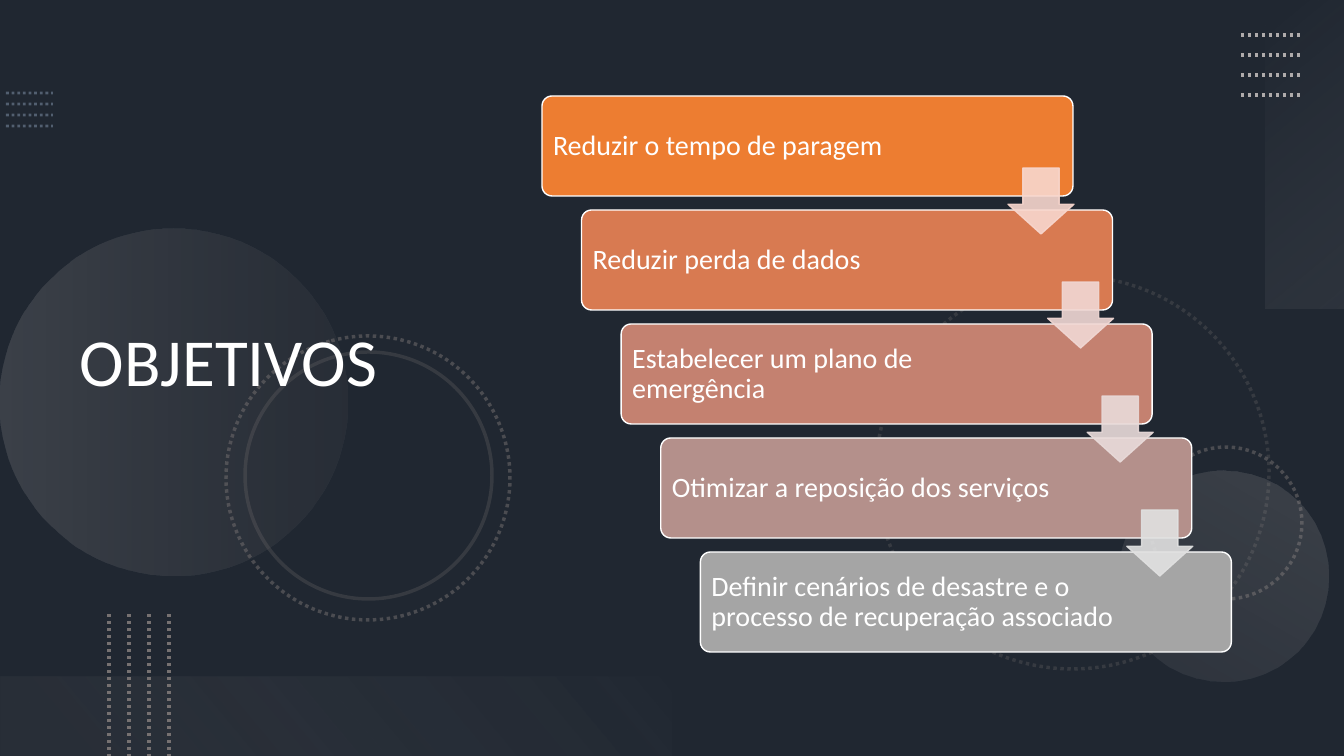
from dataclasses import dataclass

import lxml.etree
import pptx
import pptx.dml.color
import pptx.enum.dml
import pptx.enum.shapes
import pptx.enum.text
import pptx.oxml.ns
import pptx.util

PX = 914400 / 100.8
SHAPE = pptx.enum.shapes.MSO_SHAPE
qn = pptx.oxml.ns.qn


@dataclass(frozen=True)
class Theme:
    """Colours, font and type sizes of the slide."""
    background: str = "44546A"
    shade: str = "000000"
    white: str = "FFFFFF"
    blue: str = "8497B0"
    grey: str = "767171"
    silver: str = "AFABAB"
    pale: str = "F5F5F5"
    font: str = "Calibri"
    title: int = 48
    body: int = 20


THEME = Theme()

STEPS = [
    ("Reduzir o tempo de paragem", "ED7D31"),
    ("Reduzir perda de dados", "D87A51"),
    ("Estabelecer um plano de emergência", "C48170"),
    ("Otimizar a reposição dos serviços", "B4908B"),
    ("Definir cenários de desastre e o processo de recuperação associado", "A5A5A5"),
]
ARROW_COLORS = ["F8D7CE", "F1D8D4", "E9DBDA", "E1E1E1"]


def px(value):
    """Turn pixels into EMU."""
    return pptx.util.Emu(round(value * PX))


def rgb(color):
    """Turn a hex string into a colour."""
    return pptx.dml.color.RGBColor.from_string(color)


def set_alpha(sp, percent):
    """Make every colour of a shape partly transparent."""
    for clr in sp._element.spPr.iter(qn("a:srgbClr")):
        lxml.etree.SubElement(clr, qn("a:alpha"), val=str(percent * 1000))


def set_line(sp, color, width, dotted=False):
    """Style an outline or a connector."""
    sp.line.color.rgb = rgb(color)
    sp.line.width = pptx.util.Pt(width)
    if dotted:
        sp.line.dash_style = pptx.enum.dml.MSO_LINE.ROUND_DOT


def add_shape(s, kind, box, fill=None, line=None, alpha=100, rotation=0, dotted=False):
    """Add a preset shape; line is a (colour, width) pair."""
    sp = s.shapes.add_shape(kind, *map(px, box))
    sp.shadow.inherit = False
    sp.rotation = rotation
    if fill:
        sp.fill.solid()
        sp.fill.fore_color.rgb = rgb(fill)
    else:
        sp.fill.background()
    if line:
        set_line(sp, *line, dotted=dotted)
    else:
        sp.line.fill.background()
    if alpha < 100:
        set_alpha(sp, alpha)
    return sp


def add_gradient(s, kind, box, rotation, angle, stops):
    """Add a shape with a gradient of (position, colour, alpha) stops."""
    sp = add_shape(s, kind, box, rotation=rotation)
    grad = lxml.etree.Element(qn("a:gradFill"), rotWithShape="1")
    stop_list = lxml.etree.SubElement(grad, qn("a:gsLst"))
    for position, color, alpha in stops:
        stop = lxml.etree.SubElement(stop_list, qn("a:gs"), pos=str(position * 1000))
        clr = lxml.etree.SubElement(stop, qn("a:srgbClr"), val=color)
        lxml.etree.SubElement(clr, qn("a:alpha"), val=str(alpha * 1000))
    lxml.etree.SubElement(grad, qn("a:lin"), ang=str(angle * 60000), scaled="0")
    sp_pr = sp._element.spPr
    sp_pr.replace(sp_pr.find(qn("a:noFill")), grad)


def add_dotted_lines(s, start, end, step, color, width=2.5, alpha=100):
    """Add four parallel dotted lines, each moved by step."""
    for i in range(4):
        dx, dy = step[0] * i, step[1] * i
        line = s.shapes.add_connector(
            pptx.enum.shapes.MSO_CONNECTOR.STRAIGHT,
            px(start[0] + dx), px(start[1] + dy), px(end[0] + dx), px(end[1] + dy))
        set_line(line, color, width, dotted=True)
        lxml.etree.SubElement(line._element.spPr, qn("a:effectLst"))
        if alpha < 100:
            set_alpha(line, alpha)


def add_ring(s, x, y, size, rotation, alpha, dotted=True):
    """Add an unfilled circle."""
    add_shape(s, SHAPE.OVAL, (x, y, size, size), line=(THEME.grey, 2.5),
              alpha=alpha, rotation=rotation, dotted=dotted)


def add_text(s, box, text, size, inset=None):
    """Add a wrapped, vertically centred text box."""
    tf = s.shapes.add_textbox(*map(px, box)).text_frame
    tf.word_wrap = True
    tf.vertical_anchor = pptx.enum.text.MSO_ANCHOR.MIDDLE
    if inset is not None:
        tf.margin_left = tf.margin_right = tf.margin_top = tf.margin_bottom = px(inset)
    tf.text = text
    p = tf.paragraphs[0]
    p.line_spacing = 0.9
    font = p.runs[0].font
    font.name, font.size = THEME.font, pptx.util.Pt(size)
    font.color.rgb = rgb(THEME.white)


def add_decor(s):
    """Add the dotted lines, circles and bands behind the content."""
    add_dotted_lines(s, (6, 93), (53, 93), (0, 11), THEME.blue, 2, 50)
    add_ring(s, 876, 276, 393, 75, 25)
    add_ring(s, 1150, 447, 152, 270, 50)
    add_gradient(s, SHAPE.OVAL, (0, 229, 347, 347), 270, 90,
                 [(0, THEME.silver, 20), (100, THEME.grey, 10)])
    add_gradient(s, SHAPE.OVAL, (1119, 471, 210, 210), 210, 90,
                 [(0, THEME.silver, 10), (100, THEME.silver, 20)])
    add_ring(s, 226, 336, 284, 75, 50)
    add_ring(s, 245, 352, 247, 75, 25, dotted=False)
    add_gradient(s, SHAPE.RECTANGLE, (1151, 115, 308, 79), 270, 140,
                 [(0, THEME.pale, 0), (100, THEME.silver, 10)])
    add_dotted_lines(s, (1241, 35), (1301, 35), (0, 20), THEME.silver)
    add_gradient(s, SHAPE.RECTANGLE, (0, 677, 672, 79), 180, 140,
                 [(10, THEME.grey, 10), (100, THEME.pale, 0)])
    add_dotted_lines(s, (109, 614), (109, 756), (20, 0), THEME.grey)


def add_staircase(s):
    """Add the descending goals and the arrows between them."""
    dx, dy = 39.6, 114
    for i, (text, color) in enumerate(STEPS):
        x, y = 542 + dx * i, 96 + dy * i
        card = add_shape(s, SHAPE.ROUNDED_RECTANGLE, (x, y, 531, 100),
                         color, (THEME.white, 1))
        card.adjustments[0] = 0.1
        add_text(s, (x + 3, y + 3, 420, 95), text, THEME.body, inset=8)
    for i, color in enumerate(ARROW_COLORS):
        arrow = add_shape(s, SHAPE.DOWN_ARROW, (1008 + dx * i, 168 + dy * i, 66, 66),
                          color, (color, 1), alpha=90)
        arrow.adjustments[0], arrow.adjustments[1] = 0.55, 0.45


def main():
    """Build and save the slide."""
    prs = pptx.Presentation()
    prs.slide_width, prs.slide_height = px(1344), px(756)
    s = prs.slides.add_slide(prs.slide_layouts[6])
    s.background.fill.solid()
    s.background.fill.fore_color.rgb = rgb(THEME.background)
    add_shape(s, SHAPE.RECTANGLE, (0, 0, 1344, 756), THEME.shade, alpha=53)
    add_decor(s)
    add_text(s, (70, 54, 463, 622), "OBJETIVOS", THEME.title)
    add_staircase(s)
    prs.save("out.pptx")


main()
